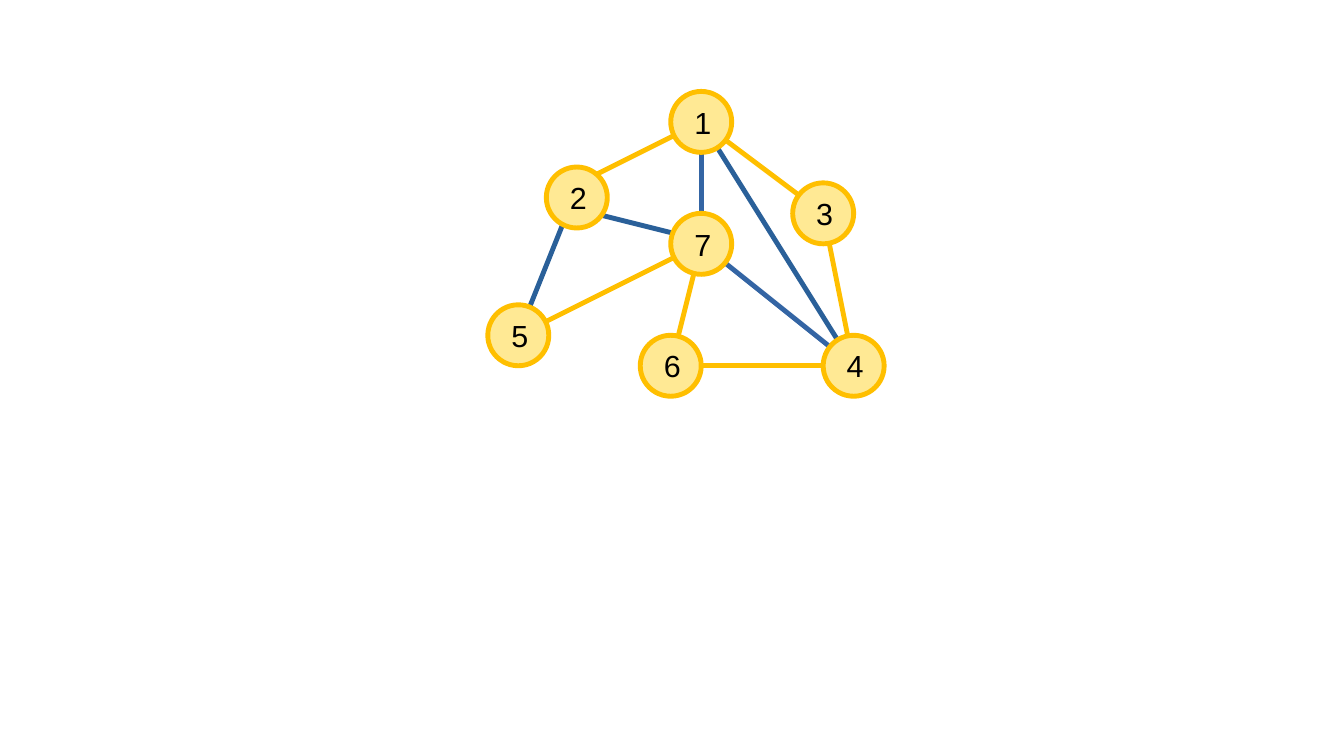
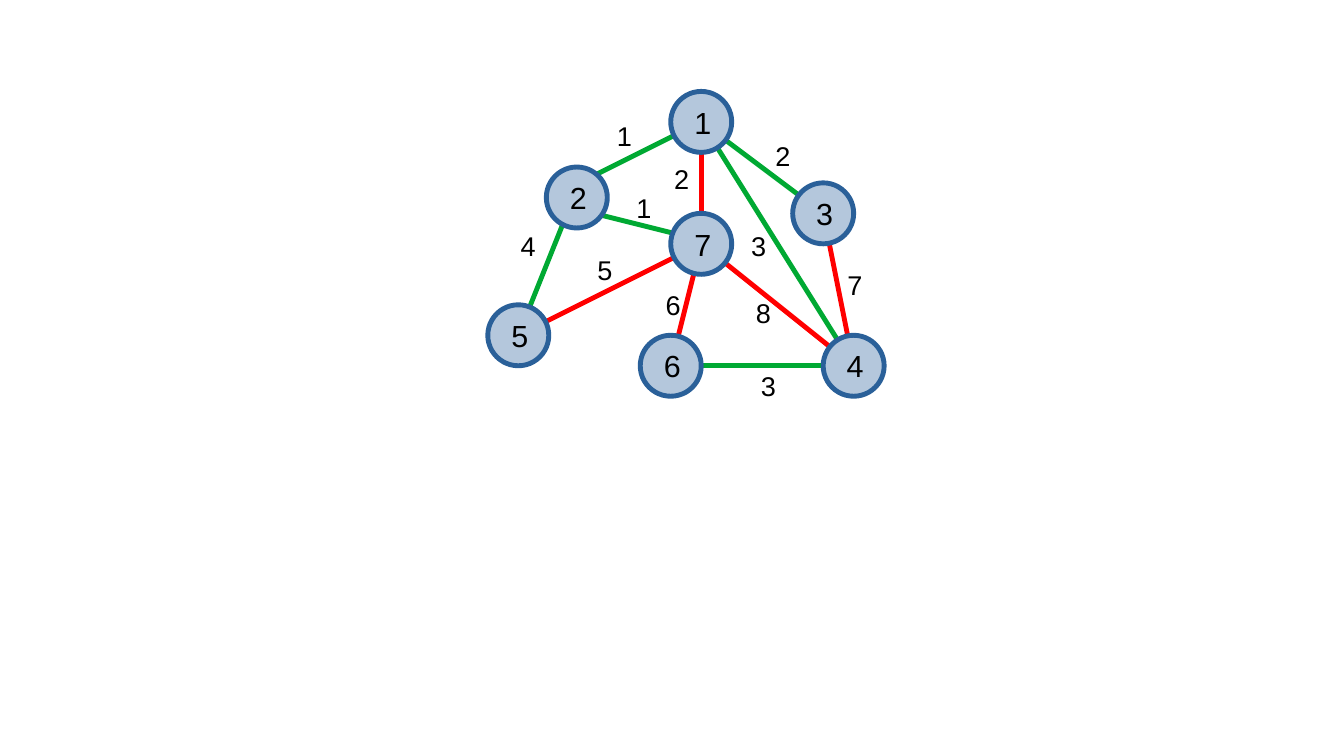
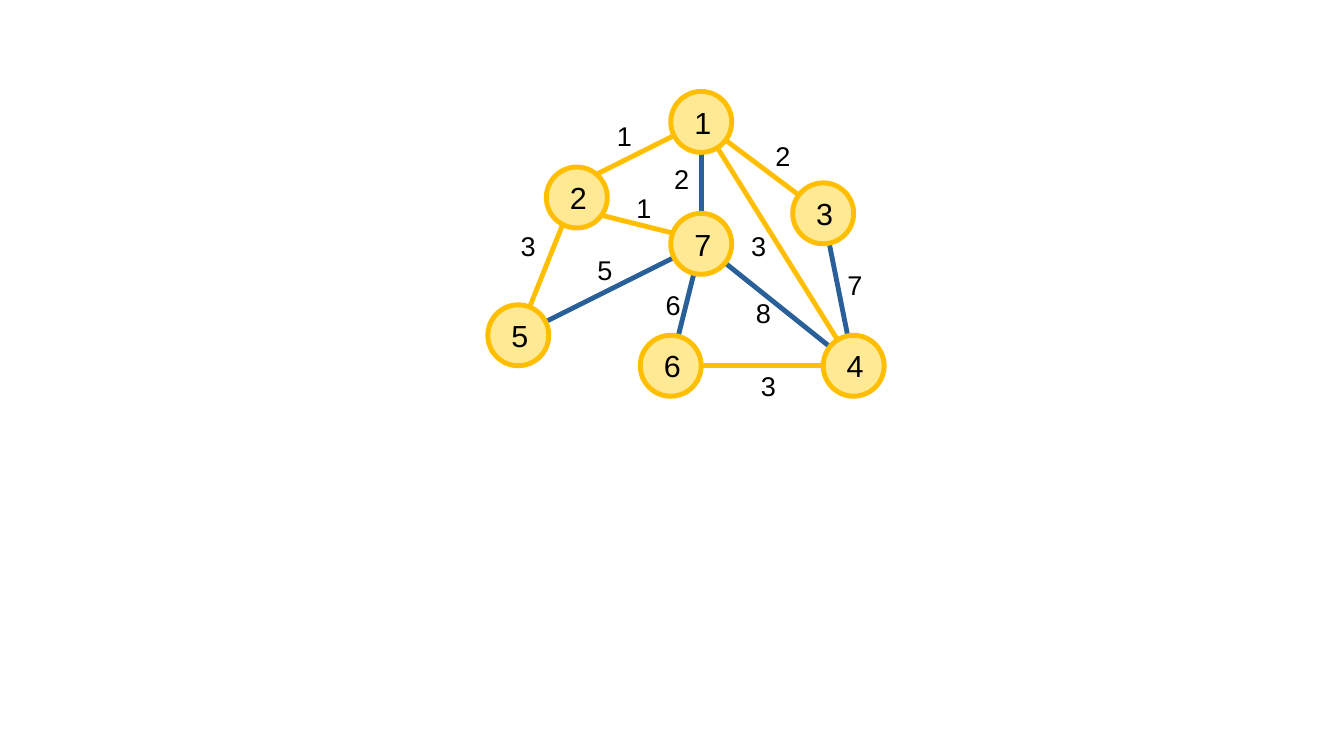
from lxml.etree import SubElement
from pptx import Presentation
from pptx.dml.color import RGBColor
from pptx.enum.shapes import MSO_CONNECTOR, MSO_SHAPE
from pptx.enum.text import MSO_ANCHOR, MSO_AUTO_SIZE, PP_ALIGN
from pptx.oxml.ns import qn
from pptx.util import Inches, Pt

# Shared style
BLACK = RGBColor(0x00, 0x00, 0x00)
GOLD = RGBColor(0xFF, 0xBF, 0x00)
CREAM = RGBColor(0xFF, 0xE9, 0x94)
NAVY = RGBColor(0x2A, 0x60, 0x99)
BLUE = RGBColor(0x34, 0x65, 0xA4)
PALE = RGBColor(0xB4, 0xC7, 0xDC)
GREEN = RGBColor(0x00, 0xA9, 0x33)
RED = RGBColor(0xFF, 0x00, 0x00)
FONT = "Arial"
STROKE = Pt(2.89)

# Grid of quarter-inch cells; a node is two cells wide
CELL = 0.25
SIZE = 2

# Node centres: column, row
NODES = {
    4: (28, 12), 1: (23, 4), 2: (18.92, 6.48), 3: (27, 7),
    5: (17, 11), 7: (23, 8), 6: (22, 12),
}

# Edges (pair of nodes) with the corner of the weight label
EDGES = {
    (4, 7): (24.4, 9.56), (3, 4): (27.4, 8.64), (4, 1): (24.24, 7.36),
    (6, 4): (24.56, 11.96), (1, 7): (21.72, 5.16), (2, 1): (19.84, 3.76),
    (3, 1): (25.04, 4.4), (6, 7): (21.44, 9.28), (5, 7): (19.2, 8.16),
    (5, 2): (16.68, 7.36), (2, 7): (20.48, 6.12),
}

# Edges at node 2 that do not run from centre to centre
ENDS = {
    (2, 1): ((19, 6), NODES[1]),
    (5, 2): (NODES[5], (19, 6)),
    (2, 7): ((18.84, 6.84), (22.84, 7.84)),
}

WEIGHTS = {
    (4, 7): 8, (3, 4): 7, (4, 1): 3, (6, 4): 3, (1, 7): 2, (2, 1): 1,
    (3, 1): 2, (6, 7): 6, (5, 7): 5, (5, 2): 4, (2, 7): 1,
}

# Edges outside the spanning tree
REST = [(4, 7), (3, 4), (1, 7), (6, 7), (5, 7)]


def grid(*cells):
    return [Inches(CELL * cell) for cell in cells]


def write(frame, text, size):
    frame.word_wrap = True
    frame.vertical_anchor = MSO_ANCHOR.MIDDLE
    para = frame.paragraphs[0]
    para.alignment = PP_ALIGN.CENTER
    run = para.add_run()
    run.text = str(text)
    run.font.name = FONT
    run.font.size = Pt(size)
    run.font.color.rgb = BLACK


def add_edge(slide, start, end, color):
    line = slide.shapes.add_connector(
        MSO_CONNECTOR.STRAIGHT, *grid(*start, *end))
    line.line.color.rgb = color
    line.line.width = STROKE
    SubElement(line._element.spPr, qn("a:effectLst"))


def add_node(slide, name, fill, rim):
    col, row = NODES[name]
    node = slide.shapes.add_shape(
        MSO_SHAPE.OVAL, *grid(col - SIZE / 2, row - SIZE / 2, SIZE, SIZE))
    node.shadow.inherit = False
    node.fill.solid()
    node.fill.fore_color.rgb = fill
    node.line.color.rgb = rim
    node.line.width = STROKE
    frame = node.text_frame
    frame.margin_left = frame.margin_right = Inches(0.12)
    frame.margin_top = frame.margin_bottom = Inches(0.07)
    write(frame, name, 18)


def add_label(slide, spot, weight):
    box = slide.shapes.add_textbox(*grid(*spot, 1, 1.4))
    write(box.text_frame, weight, 16)
    box.text_frame.auto_size = MSO_AUTO_SIZE.SHAPE_TO_FIT_TEXT


def add_graph(deck, fill, rim, base, marks, weights):
    """Draw one graph; marks gives the edges that differ from base."""
    slide = deck.slides.add_slide(deck.slide_layouts[6])
    for edge in EDGES:
        start, end = ENDS.get(edge, [NODES[name] for name in edge])
        add_edge(slide, start, end, marks.get(edge, base))
    for name in NODES:
        add_node(slide, name, fill, rim)
    for edge, weight in weights.items():
        add_label(slide, EDGES[edge], weight)


def main():
    deck = Presentation()
    deck.slide_width, deck.slide_height = Inches(11.02), Inches(6.2)

    # Graph without weights
    marks = {(4, 7): BLUE, (1, 7): BLUE,
             (4, 1): NAVY, (5, 2): NAVY, (2, 7): NAVY}
    add_graph(deck, CREAM, GOLD, GOLD, marks, {})

    # Weighted graphs with their spanning trees
    add_graph(deck, PALE, NAVY, GREEN, dict.fromkeys(REST, RED), WEIGHTS)
    add_graph(deck, CREAM, GOLD, GOLD, dict.fromkeys(REST, NAVY),
              {**WEIGHTS, (5, 2): 3})

    deck.save("out.pptx")


if __name__ == "__main__":
    main()
